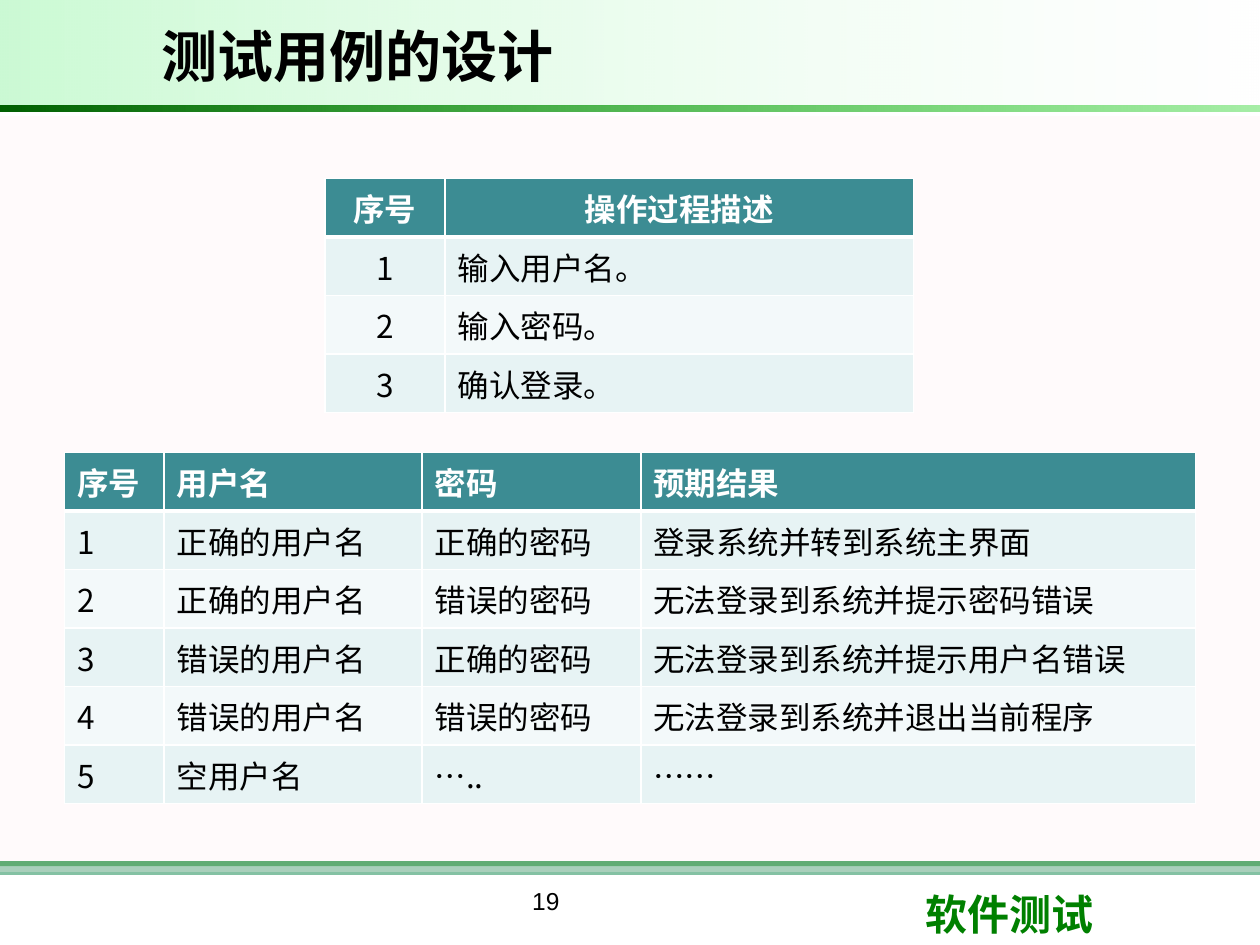
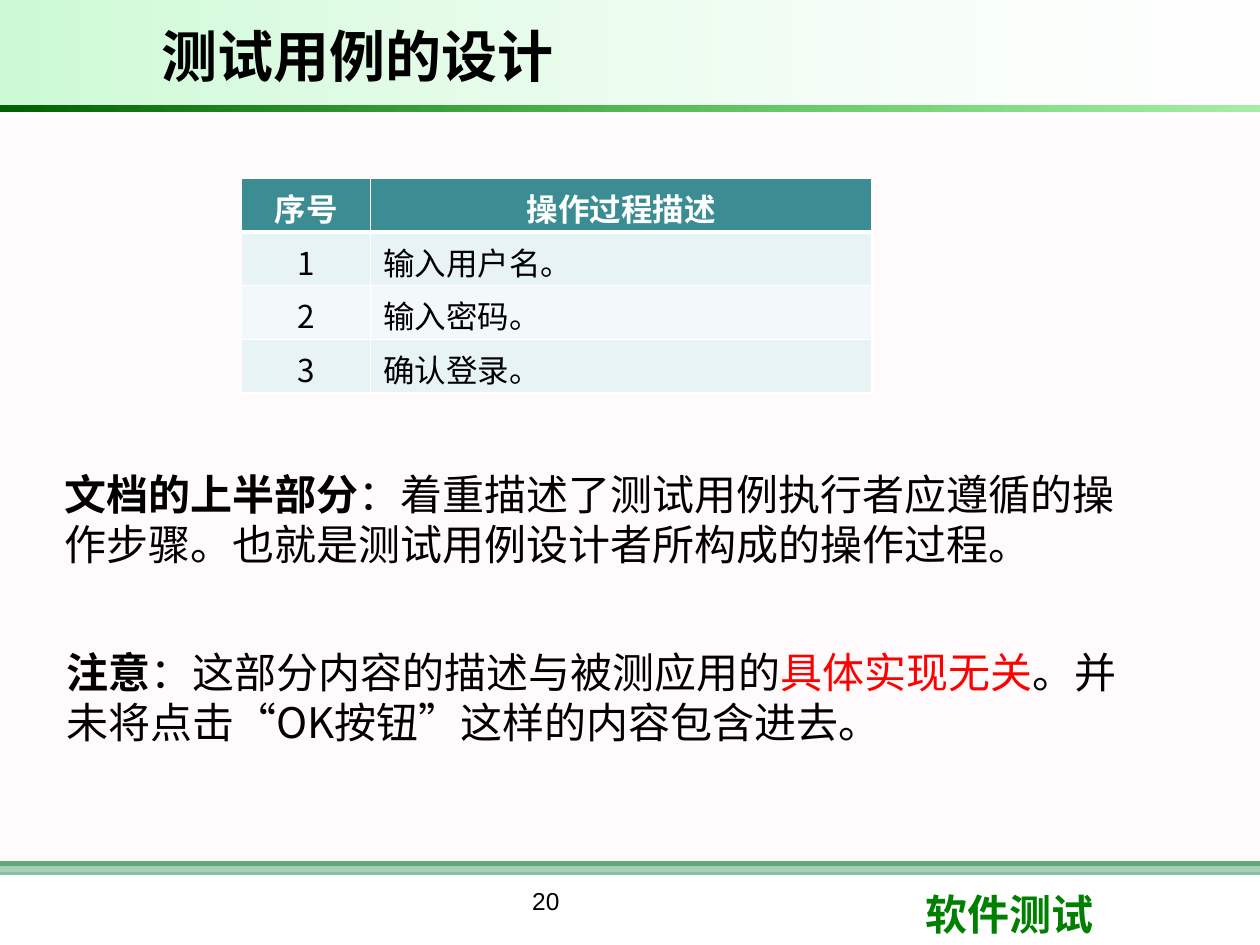
from dataclasses import dataclass

from lxml import etree
from pptx import Presentation
from pptx.dml.color import RGBColor
from pptx.enum import shapes, text
from pptx.oxml import ns
from pptx.util import Cm, Pt


@dataclass(frozen=True)
class Theme:
    black: str = "000000"
    white: str = "FFFFFF"
    red: str = "FF0000"
    green: str = "008000"
    header: str = "3C8C93"
    stripes: tuple = ("E7F3F4", "F3F9FA")
    latin: str = "Arial"
    header_font: str = "Calibri"
    chinese: str = "Noto Sans CJK SC"
    title_size: int = 32
    text_size: int = 24
    table_size: int = 18
    number_size: int = 14


THEME = Theme()
LEFT, CENTER = text.PP_ALIGN.LEFT, text.PP_ALIGN.CENTER

TITLE = "测试用例的设计"
TITLE_PLACE = (3, 0.22, 17.7, 1.8)
COURSE = "软件测试"
COURSE_PLACE = (18.4, 17.78, 6.02, 1.27)
NUMBER_PLACE = (6.98, 17.73, 8.05, 1.32)

BANDS = [
    ((0, 17.36, 25.4, 0.1), [(THEME.green, 100)]),
    ((0, 17.36, 25.4, 0.28), [("339966", 60)]),
    ((0, 2.34, 25.4, 15.24), [("FFF0F5", 30)]),
    ((0, 0, 25.37, 2.12), [("09E733", 21), (THEME.white, 10)]),
    ((0, 2.12, 25.4, 0.13), [("006000", 100), ("00CC00", 35)]),
]

STEPS = [
    ("序号", "操作过程描述"),
    ("1", "输入用户名。"),
    ("2", "输入密码。"),
    ("3", "确认登录。"),
]
CASES = [
    ("序号", "用户名", "密码", "预期结果"),
    ("1", "正确的用户名", "正确的密码", "登录系统并转到系统主界面"),
    ("2", "正确的用户名", "错误的密码", "无法登录到系统并提示密码错误"),
    ("3", "错误的用户名", "正确的密码", "无法登录到系统并提示用户名错误"),
    ("4", "错误的用户名", "错误的密码", "无法登录到系统并退出当前程序"),
    ("5", "空用户名", "…..", "……"),
]
STEP_STYLE = dict(header_font=THEME.header_font, header_align=CENTER, number_align=CENTER)

SLIDES = [
    dict(
        number="19",
        tables=[
            dict(rows=STEPS, corner=(6.55, 3.6), widths=(2.42, 9.44), row_height=1.18, **STEP_STYLE),
            dict(rows=CASES, corner=(1.3, 9.12), widths=(2.01, 5.2, 4.41, 11.18), row_height=1.18),
        ],
        notes=[],
    ),
    dict(
        number="20",
        tables=[
            dict(rows=STEPS, corner=(4.87, 3.6), widths=(2.6, 10.11), row_height=1.08, **STEP_STYLE),
        ],
        notes=[
            ((1.06, 9.32, 22.22, 2.31), [
                ("文档的上半部分", dict(bold=True)),
                ("：着重描述了测试用例执行者应遵循的操作步骤。也就是测试用例设计者所构成的操作过程。", {}),
            ]),
            ((1.09, 12.9, 22.4, 2.31), [
                ("注意", dict(bold=True)),
                ("：这部分内容的描述与被测应用的", {}),
                ("具体实现无关", dict(color=THEME.red)),
                ("。并未将点击“OK按钮”这样的内容包含进去。", {}),
            ]),
        ],
    ),
]


def lengths(values):
    return [Cm(value) for value in values]


def write(frame, spans, align=LEFT, **common):
    para = frame.paragraphs[0]
    para.alignment = align
    for words, special in spans:
        look = dict(name=THEME.chinese, size=THEME.text_size, bold=False, color=THEME.black)
        look.update(common)
        look.update(special)
        span = para.add_run()
        span.text = words
        span.font.color.rgb = RGBColor.from_string(look.pop("color"))
        look["size"] = Pt(look["size"])
        for key, value in look.items():
            setattr(span.font, key, value)
        properties = span.font._element
        east_asian = etree.SubElement(properties, ns.qn("a:ea"), typeface=THEME.chinese)
        properties.find(ns.qn("a:latin")).addnext(east_asian)


def add_text(slide, place, spans, **look):
    box = slide.shapes.add_textbox(*lengths(place))
    box.text_frame.word_wrap = True
    write(box.text_frame, spans, **look)
    return box


def add_band(slide, place, colors):
    band = slide.shapes.add_shape(shapes.MSO_SHAPE.RECTANGLE, *lengths(place))
    band.shadow.inherit = False
    band.line.fill.background()
    if len(colors) == 1:
        band.fill.solid()
        targets = [band.fill.fore_color]
    else:
        band.fill.gradient()
        band.fill.gradient_angle = 0
        targets = [stop.color for stop in band.fill.gradient_stops]
    for target, (color, _) in zip(targets, colors):
        target.rgb = RGBColor.from_string(color)
    paints = band._element.spPr.iter(ns.qn("a:srgbClr"))
    for paint, (_, opacity) in zip(paints, colors):
        etree.SubElement(paint, ns.qn("a:alpha"), val=str(opacity * 1000))
    return band


def set_borders(cell, row_index):
    points = dict(L=1, R=1, T=3 if row_index == 1 else 1, B=3 if row_index == 0 else 1)
    properties = cell._tc.get_or_add_tcPr()
    for position, (side, width) in enumerate(points.items()):
        line = etree.Element(ns.qn(f"a:ln{side}"), w=str(Pt(width)))
        fill = etree.SubElement(line, ns.qn("a:solidFill"))
        etree.SubElement(fill, ns.qn("a:srgbClr"), val=THEME.white)
        properties.insert(position, line)


def add_grid(slide, rows, corner, widths, row_height, header_font=THEME.chinese,
             header_align=LEFT, number_align=LEFT):
    size = (sum(widths), row_height * len(rows))
    table = slide.shapes.add_table(len(rows), len(widths), *lengths(corner + size)).table
    table.horz_banding = False
    for column, width in zip(table.columns, widths):
        column.width = Cm(width)
    for row_index, row in enumerate(rows):
        is_header = row_index == 0
        fill = THEME.header if is_header else THEME.stripes[(row_index - 1) % 2]
        look = dict(
            name=header_font if is_header else THEME.chinese,
            color=THEME.white if is_header else THEME.black,
            bold=is_header,
            size=THEME.table_size,
        )
        for column_index, words in enumerate(row):
            cell = table.cell(row_index, column_index)
            cell.fill.solid()
            cell.fill.fore_color.rgb = RGBColor.from_string(fill)
            body_align = number_align if column_index == 0 else LEFT
            write(cell.text_frame, [(words, {})], header_align if is_header else body_align, **look)
            cell.vertical_anchor = text.MSO_ANCHOR.MIDDLE
            set_borders(cell, row_index)


def prepare_layout(layout):
    for holder in list(layout.placeholders):
        if holder.placeholder_format.type != shapes.PP_PLACEHOLDER.TITLE:
            holder._element.getparent().remove(holder._element)
    title = layout.placeholders[0]
    for key, value in zip(("left", "top", "width", "height"), lengths(TITLE_PLACE)):
        setattr(title, key, value)


def move_frame_to_layout(slide, layout):
    frame = [add_band(slide, place, colors) for place, colors in BANDS]
    frame.append(add_text(slide, COURSE_PLACE, [(COURSE, {})],
                          name=THEME.latin, bold=True, color=THEME.green))
    for part in frame:
        layout.placeholders[0]._element.addprevious(part._element)


def fill_slide(slide, content):
    title = slide.shapes.title.text_frame
    title.vertical_anchor = text.MSO_ANCHOR.MIDDLE
    title.auto_size = text.MSO_AUTO_SIZE.NONE
    write(title, [(TITLE, {})], name=THEME.latin, size=THEME.title_size, bold=True)
    add_text(slide, NUMBER_PLACE, [(content["number"], {})], align=CENTER,
             name=THEME.latin, size=THEME.number_size)
    for grid in content["tables"]:
        add_grid(slide, **grid)
    for place, spans in content["notes"]:
        add_text(slide, place, spans)


def main():
    deck = Presentation()
    deck.slide_width, deck.slide_height = Cm(25.4), Cm(19.05)
    layout = deck.slide_layouts.get_by_name("Title Only")
    prepare_layout(layout)
    pages = [deck.slides.add_slide(layout) for _ in SLIDES]
    move_frame_to_layout(pages[0], layout)
    for page, content in zip(pages, SLIDES):
        fill_slide(page, content)
    deck.save("out.pptx")


if __name__ == "__main__":
    main()
